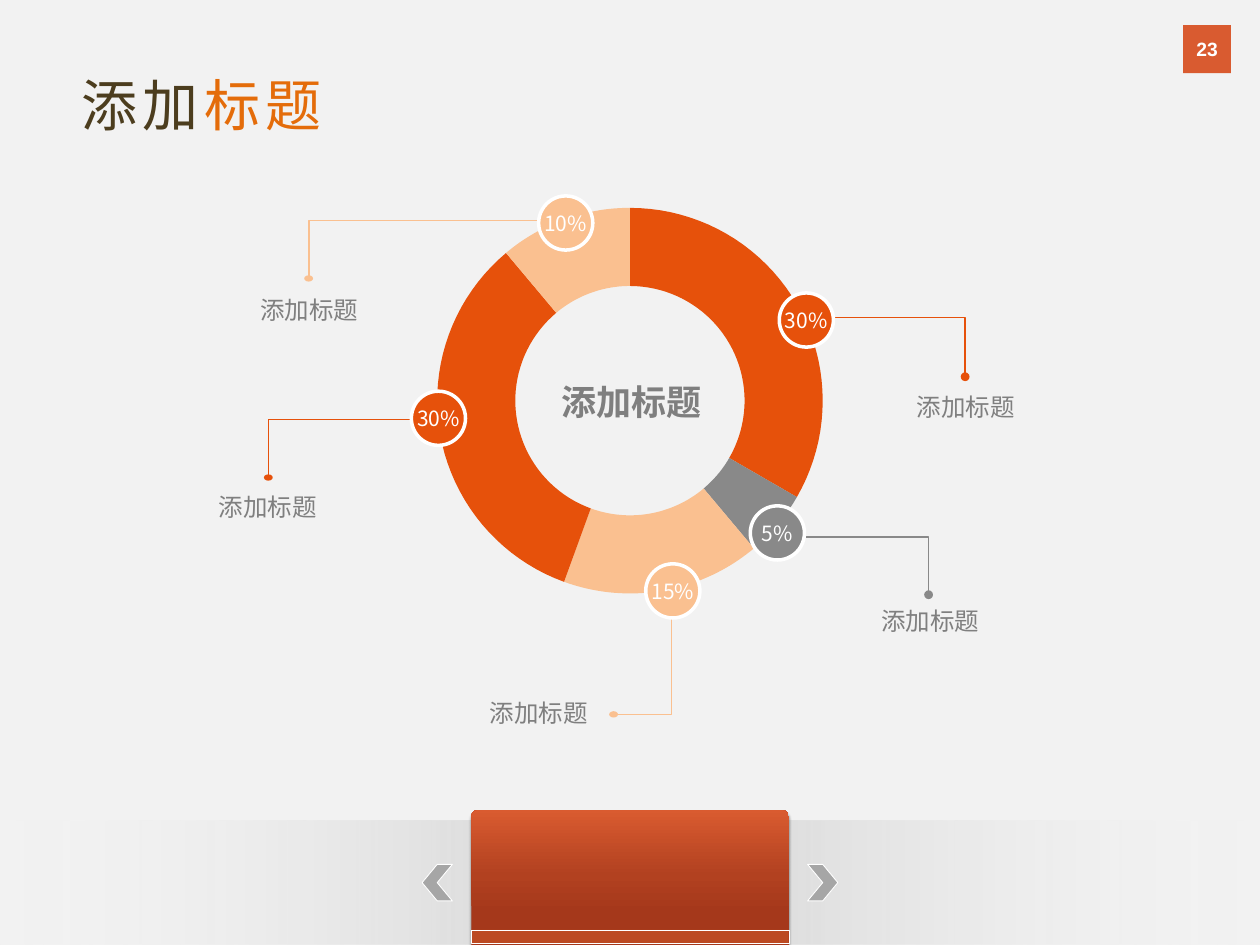
import math
from itertools import accumulate

from lxml import etree
from pptx import Presentation
from pptx.dml.color import RGBColor
from pptx.enum.shapes import MSO_SHAPE
from pptx.enum.text import MSO_ANCHOR, MSO_AUTO_SIZE, PP_ALIGN
from pptx.oxml.ns import qn
from pptx.util import Inches, Pt

RECT, ROUNDED = MSO_SHAPE.RECTANGLE, MSO_SHAPE.ROUNDED_RECTANGLE
OVAL, CHEVRON = MSO_SHAPE.OVAL, MSO_SHAPE.CHEVRON
LEFT, CENTER = PP_ALIGN.LEFT, PP_ALIGN.CENTER
MIDDLE = MSO_ANCHOR.MIDDLE
FIT_SHAPE = MSO_AUTO_SIZE.SHAPE_TO_FIT_TEXT

PAPER = RGBColor(0xF2, 0xF2, 0xF2)
WHITE = RGBColor(0xFF, 0xFF, 0xFF)
BLACK = RGBColor(0x00, 0x00, 0x00)
SILVER = RGBColor(0xBF, 0xBF, 0xBF)
ARROW_GRAY = RGBColor(0xA6, 0xA6, 0xA6)
TEXT_GRAY = RGBColor(0x7F, 0x7F, 0x7F)
GRAY = RGBColor(0x89, 0x89, 0x89)
ORANGE = RGBColor(0xE6, 0x51, 0x0B)
PEACH = RGBColor(0xFA, 0xC0, 0x90)
BROWN = RGBColor(0x4C, 0x3D, 0x1E)
TITLE_ORANGE = RGBColor(0xE4, 0x6C, 0x0A)
BRICK = RGBColor(0xD9, 0x5B, 0x30)
MID_BRICK = RGBColor(0xB2, 0x41, 0x20)
DARK_BRICK = RGBColor(0xA5, 0x38, 0x1B)
EDGE_BRICK = RGBColor(0xBC, 0x4A, 0x22)

CJK = "Noto Sans CJK SC"
TITLE_FONT = {"name": CJK, "size": Pt(32)}
CENTER_FONT = {"name": CJK, "size": Pt(20), "bold": True}
LABEL_FONT = {"name": CJK, "size": Pt(14)}
BADGE_FONT = {"name": CJK, "size": Pt(12)}
PAGE_FONT = {"name": "Arial", "size": Pt(11), "bold": True}

TITLE = [("添加", BROWN), ("标题", TITLE_ORANGE)]
RING_CENTER, OUTER, INNER = (5, 3.18), 1.53, 0.91
BADGE = 0.43
LABEL_SIZE = (1.09, 0.34)

# Clockwise from the top. badge: centre; leader: from dot over corner to badge
SECTORS = [
    {"value": 30, "color": ORANGE, "badge": (6.4, 2.54), "label": "添加标题",
     "label_at": (7.12, 3.06), "dot": (0.07, 0.07),
     "leader": [(7.66, 2.99), (7.66, 2.52), (6.62, 2.52)]},
    {"value": 5, "color": GRAY, "badge": (6.17, 4.23), "label": "添加标题",
     "label_at": (6.84, 4.76), "dot": (0.07, 0.07),
     "leader": [(7.37, 4.72), (7.37, 4.26), (6.33, 4.26)]},
    {"value": 15, "color": PEACH, "badge": (5.34, 4.69), "label": "添加标题",
     "label_at": (3.73, 5.49), "dot": (0.07, 0.05),
     "leader": [(4.87, 5.67), (5.33, 5.67), (5.33, 4.64)]},
    {"value": 30, "color": ORANGE, "badge": (3.48, 3.32), "label": "添加标题",
     "label_at": (1.58, 3.86), "dot": (0.07, 0.05),
     "leader": [(2.13, 3.79), (2.13, 3.33), (3.32, 3.33)]},
    {"value": 10, "color": PEACH, "badge": (4.49, 1.77), "label": "添加标题",
     "label_at": (1.91, 2.29), "dot": (0.07, 0.05),
     "leader": [(2.45, 2.21), (2.45, 1.75), (4.27, 1.75)]},
]


def style(shape, fill=None, line=None, width=0):
    shape.shadow.inherit = False
    if fill is None:
        shape.fill.background()
    else:
        shape.fill.solid()
        shape.fill.fore_color.rgb = fill
    if line is None:
        shape.line.fill.background()
    else:
        shape.line.color.rgb = line
        shape.line.width = Pt(width)


def add_shape(page, kind, at, *look):
    shape = page.shapes.add_shape(kind, *map(Inches, at))
    style(shape, *look)
    return shape


def add_outline(page, points, closed, *look):
    corners = [(Inches(x), Inches(y)) for x, y in points]
    builder = page.shapes.build_freeform(*corners[0])
    builder.add_line_segments(corners[1:], close=closed)
    style(builder.convert_to_shape(), *look)


def write(shape, spans, font, align=CENTER, spacing=0):
    """Fill a shape with one paragraph of (text, colour) spans."""
    para = shape.text_frame.paragraphs[0]
    para.alignment = align
    for text, color in spans:
        span = para.add_run()
        span.text = text
        for key, value in font.items():
            setattr(span.font, key, value)
        span.font.color.rgb = color
        properties = span.font._element
        if spacing:
            properties.set("spc", str(spacing * 100))
        etree.SubElement(properties, qn("a:ea"), typeface=font["name"])


def add_text(page, at, spans, font, **options):
    box = page.shapes.add_textbox(*map(Inches, at))
    box.text_frame.word_wrap = True
    box.text_frame.auto_size = FIT_SHAPE
    write(box, spans, font, **options)


def add_color(parent, color, opacity):
    node = etree.SubElement(parent, qn("a:srgbClr"), val=str(color))
    if opacity < 100:
        etree.SubElement(node, qn("a:alpha"), val=str(opacity * 1000))


def set_gradient(shape, stops, angle):
    """Replace the solid fill by (position, colour, opacity) stops."""
    solid = shape._element.spPr.find(qn("a:solidFill"))
    gradient = etree.Element(qn("a:gradFill"), rotWithShape="1")
    stop_list = etree.SubElement(gradient, qn("a:gsLst"))
    for position, color, opacity in stops:
        stop = etree.SubElement(stop_list, qn("a:gs"), pos=str(position * 1000))
        add_color(stop, color, opacity)
    etree.SubElement(gradient, qn("a:lin"), ang=str(angle * 60000), scaled="0")
    solid.getparent().replace(solid, gradient)


def add_drop_shadow(shape, color, opacity, blur, distance):
    effects = shape._element.spPr.find(qn("a:effectLst"))
    shadow = etree.SubElement(
        effects, qn("a:outerShdw"), blurRad=str(Pt(blur)),
        dist=str(Pt(distance)), dir="5400000", rotWithShape="0")
    add_color(shadow, color, opacity)


def arc(radius, start, end, steps=40):
    """Points on the ring, with degrees clockwise from the top."""
    x, y = RING_CENTER
    angles = [math.radians(start + (end - start) * i / steps)
              for i in range(steps + 1)]
    return [(x + radius * math.sin(a), y - radius * math.cos(a)) for a in angles]


def centered(point, width, height):
    return point[0] - width / 2, point[1] - height / 2, width, height


def add_footer(page):
    band = add_shape(page, RECT, (0, 6.51, 10, 0.99), SILVER)
    set_gradient(band, [(0, PAPER, 0), (50, SILVER, 65), (100, PAPER, 0)], 180)
    for left, turn in ((6.41, 0), (3.35, 180)):
        arrow = add_shape(page, CHEVRON, (left, 6.86, 0.24, 0.29),
                          ARROW_GRAY, WHITE, 0.5)
        arrow.rotation = turn
    block = add_shape(page, ROUNDED, (3.74, 6.43, 2.52, 1.26), BRICK)
    block.adjustments[0] = 0.04
    set_gradient(block, [(36, DARK_BRICK, 100), (59, MID_BRICK, 100),
                         (100, BRICK, 100)], 270)
    add_drop_shadow(block, BLACK, 40, 1.5, 2)
    add_shape(page, RECT, (3.74, 7.38, 2.52, 0.11), EDGE_BRICK, WHITE, 0.25)


def add_ring(page):
    total = sum(sector["value"] for sector in SECTORS)
    ends = [360 * value / total
            for value in accumulate(sector["value"] for sector in SECTORS)]
    for sector, start, end in zip(SECTORS, [0] + ends, ends):
        color = sector["color"]
        add_outline(page, arc(OUTER, start, end) + arc(INNER, end, start),
                    True, color)
        add_outline(page, sector["leader"], False, None, color, 1)
        add_shape(page, OVAL, centered(sector["leader"][0], *sector["dot"]), color)
        add_text(page, sector["label_at"] + LABEL_SIZE,
                 [(sector["label"], TEXT_GRAY)], LABEL_FONT)
    for sector in SECTORS:
        badge = add_shape(page, OVAL, centered(sector["badge"], BADGE, BADGE),
                          sector["color"], WHITE, 2)
        frame = badge.text_frame
        frame.word_wrap = False
        frame.vertical_anchor = MIDDLE
        for side in ("left", "right", "top", "bottom"):
            setattr(frame, f"margin_{side}", 0)
        write(badge, [(f"{sector['value']}%", WHITE)], BADGE_FONT)
    add_text(page, (4.17, 2.97, 1.69, 0.44), [("添加标题", TEXT_GRAY)], CENTER_FONT)


def main():
    deck = Presentation()
    deck.slide_width, deck.slide_height = Inches(10), Inches(7.5)
    page = deck.slides.add_slide(deck.slide_layouts[6])
    page.background.fill.solid()
    page.background.fill.fore_color.rgb = PAPER
    add_footer(page)
    number = add_shape(page, RECT, (9.39, 0.2, 0.38, 0.38), BRICK)
    number.text_frame.word_wrap = False
    number.text_frame.vertical_anchor = MIDDLE
    write(number, [("23", WHITE)], PAGE_FONT)
    add_text(page, (0.55, 0.51, 2.27, 0.64), TITLE, TITLE_FONT,
             align=LEFT, spacing=3)
    add_ring(page)
    deck.save("out.pptx")


if __name__ == "__main__":
    main()
